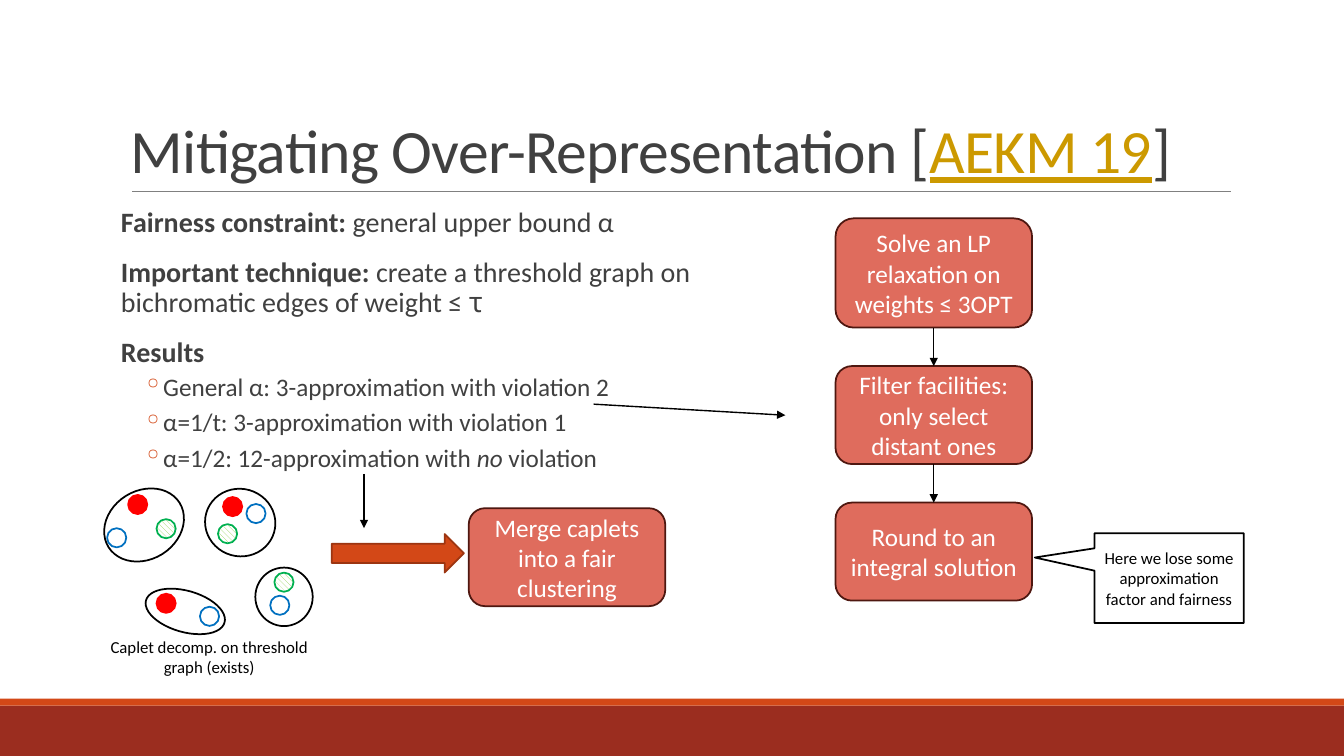
from dataclasses import dataclass

from lxml import etree
from pptx import Presentation
from pptx.dml.color import RGBColor
from pptx.enum import dml, shapes, text
from pptx.oxml import ns
from pptx.util import Pt


@dataclass(frozen=True)
class Theme:
    """Colours, type sizes and line widths of the slide."""
    font: str = "Calibri"
    title_size: float = 44
    body_size: float = 20
    step_size: float = 18
    note_size: float = 12
    outline: float = 1.25
    ink: str = "404040"
    black: str = "000000"
    white: str = "FFFFFF"
    link: str = "CC9900"
    rule: str = "808080"
    accent: str = "D34817"
    accent_edge: str = "9C3511"
    footer: str = "9B2D1F"
    step: str = "DF6C5D"
    step_edge: str = "4E1710"
    red: str = "FF0000"
    blue: str = "0070C0"
    green: str = "00B050"
    hatch: str = "92D050"


THEME = Theme()
SHAPE = shapes.MSO_SHAPE


def colour(value):
    """Turn a hex string into a colour."""
    return RGBColor.from_string(value)


def add_node(parent, tag, **attributes):
    """Append a drawing element to a parent element."""
    return etree.SubElement(parent, ns.qn(tag), attributes)


def add_box(page, kind, box, fill=None, edge=None):
    """Draw a preset shape with an optional fill and outline."""
    shape = page.shapes.add_shape(kind, *map(Pt, box))
    shape.shadow.inherit = False
    if fill:
        shape.fill.solid()
        shape.fill.fore_color.rgb = colour(fill)
    else:
        shape.fill.background()
    if edge:
        shape.line.color.rgb = colour(edge)
        shape.line.width = Pt(THEME.outline)
    else:
        shape.line.fill.background()
    return shape


def set_font(font, size, shade):
    """Set the typeface, size and colour of a font."""
    font.name, font.size = THEME.font, Pt(size)
    font.color.rgb = colour(shade)


def write_centred(shape, wording, size, shade):
    """Write one centred paragraph into a shape."""
    frame = shape.text_frame
    frame.word_wrap = True
    para = frame.paragraphs[0]
    para.text = wording
    para.alignment = text.PP_ALIGN.CENTER
    set_font(para.font, size, shade)


def add_line(page, start, end, shade=THEME.black, width=1, arrow=True):
    """Draw a straight line, with an arrowhead at its end if wanted."""
    line = page.shapes.add_connector(shapes.MSO_CONNECTOR.STRAIGHT, *map(Pt, start + end))
    line.line.color.rgb = colour(shade)
    line.line.width = Pt(width)
    if arrow:
        add_node(line.line._get_or_add_ln(), "a:tailEnd", type="triangle")
    add_node(line._element.spPr, "a:effectLst")
    return line


def add_step(page, box, wording):
    """Draw one rounded step of the algorithm."""
    step = add_box(page, SHAPE.ROUNDED_RECTANGLE, box, THEME.step, THEME.step_edge)
    write_centred(step, wording, THEME.step_size, THEME.white)
    return step


def add_footer(page, box):
    """Draw the two-tone band at the foot of the slide."""
    left, top, width, height = box
    strip = 5
    add_box(page, SHAPE.RECTANGLE, (left, top + strip, width, height - strip), THEME.footer)
    add_box(page, SHAPE.RECTANGLE, (left, top, width, strip), THEME.accent)


def add_title(page, box):
    """Write the title and the rule beneath it."""
    left, top, width, height = box
    base = top + height
    add_line(page, (left + 8, base), (left + width + 1, base), THEME.rule, 0.5, False)
    frame = page.shapes.add_textbox(*map(Pt, box)).text_frame
    frame.word_wrap = True
    frame.vertical_anchor = text.MSO_ANCHOR.BOTTOM
    para = frame.paragraphs[0]
    para.line_spacing = 0.85
    for wording, linked in (("Mitigating Over-Representation [", False), ("AEKM 19", True), ("]", False)):
        span = para.add_run()
        span.text = wording
        set_font(span.font, THEME.title_size, THEME.link if linked else THEME.ink)
        span.font.underline = linked
        span._r.get_or_add_rPr().set("spc", "-50")


def add_body(page, box):
    """Write the constraint, the technique and the list of results."""
    frame = page.shapes.add_textbox(*map(Pt, box)).text_frame
    frame.word_wrap = True
    frame.margin_left = frame.margin_right = 0
    statements = (
        (("Fairness constraint:", "b"), (" general upper bound α", "")),
        (("Important technique:", "b"),
         (" create a threshold graph on bichromatic edges of weight ≤ ꚍ", "")),
        (("Results", "b"),),
    )
    results = (
        (("General α: 3-approximation with violation 2", ""),),
        (("α=1/t: 3-approximation with violation 1", ""),),
        (("α=1/2: 12-approximation with ", ""), ("no", "i"), (" violation", "")),
    )
    for index, spans in enumerate(statements + results):
        para = frame.add_paragraph() if index else frame.paragraphs[0]
        is_result = index >= len(statements)
        para.line_spacing = 0.9
        para.space_before, para.space_after = (Pt(2), Pt(4)) if is_result else (Pt(12), Pt(2))
        set_font(para.font, THEME.step_size if is_result else THEME.body_size, THEME.ink)
        if is_result:
            para.level = 1
            properties = para._p.get_or_add_pPr()
            properties.set("marL", str(Pt(30.2)))
            properties.set("indent", str(Pt(-14.4)))
            bullet = etree.Element(ns.qn("a:buClr"))
            add_node(bullet, "a:srgbClr", val=THEME.accent)
            mark = etree.Element(ns.qn("a:buChar"), char="◦")
            place = properties.index(properties.find(ns.qn("a:defRPr")))
            properties[place:place] = [bullet, mark]
        for wording, style in spans:
            span = para.add_run()
            span.text = wording
            span.font.bold = style == "b"
            span.font.italic = style == "i"


def add_pipeline(page, box):
    """Stack the three rounding steps, join them and annotate the last."""
    left, top, width, gap = box
    steps = []
    for wording, height in (("Solve an LP relaxation on weights ≤ 3OPT", 78),
                            ("Filter facilities: only select distant ones", 70),
                            ("Round to an integral solution", 70)):
        steps.append(add_step(page, (left, top, width, height), wording))
        top += height + gap
    for upper, lower in zip(steps, steps[1:]):
        arrow = add_line(page, (left, top), (left, top))
        arrow.begin_connect(upper, 2)
        arrow.end_connect(lower, 0)
    note = add_box(page, SHAPE.RECTANGULAR_CALLOUT, (left + 185, top - 75.5, 106.6, 64),
                   THEME.white, THEME.black)
    note.adjustments[0], note.adjustments[1] = -0.9, -0.23
    write_centred(note, "Here we lose some approximation factor and fairness",
                  THEME.note_size, THEME.black)


def add_point(page, left, top, kind):
    """Draw one coloured point of a caplet."""
    fill = THEME.red if kind == "red" else None
    point = add_box(page, SHAPE.OVAL, (left, top, 13.7, 13.7), fill, getattr(THEME, kind))
    if kind == "green":
        point.fill.patterned()
        point.fill.pattern = dml.MSO_PATTERN.WIDE_DOWNWARD_DIAGONAL
        point.fill.fore_color.rgb = colour(THEME.hatch)
        point.fill.back_color.rgb = colour(THEME.white)


def add_caplets(page, box):
    """Draw the caplets with their points, and the caption below."""
    left, top, width, height = box
    caplets = (
        ((3, 1.5, 59.8, 49), 328.1, {"red": (21.5, 4.5), "blue": (6.5, 28.3), "green": (41.8, 21.8)}),
        ((76.4, 0.2, 50.4, 48.2), 15.8, {"red": (89.3, 6), "blue": (106, 11), "green": (85.7, 25.4)}),
        ((33.2, 73, 58.3, 29.5), 15.8, {"red": (41.8, 75.1), "blue": (72.8, 84.4)}),
        ((112.4, 56.4, 41, 41.8), 0, {"green": (126, 60), "blue": (123, 76.5)}),
    )
    for (x, y, *size), angle, points in caplets:
        for kind, (across, down) in points.items():
            add_point(page, left + across, top + down, kind)
        caplet = add_box(page, SHAPE.OVAL, (left + x, top + y, *size), None, THEME.black)
        caplet.rotation = angle
    caption = page.shapes.add_textbox(*map(Pt, (left, top + height - 36, width, 36)))
    write_centred(caption, "Caplet decomp. on threshold graph (exists)", THEME.note_size, THEME.black)


def add_merge(page, box):
    """Draw the block arrow that leads to the merging step."""
    left, top, width, height = box
    add_box(page, SHAPE.RIGHT_ARROW, (left, top + 18.5, 94.4, 27.5), THEME.accent, THEME.accent_edge)
    add_step(page, (left + width - 140.4, top, 140.4, height), "Merge caplets into a fair clustering")


def main():
    """Build the slide and save it."""
    deck = Presentation()
    deck.slide_width, deck.slide_height = Pt(960), Pt(540)
    page = deck.slides.add_slide(deck.slide_layouts[6])
    add_footer(page, (0, 499, 960, 41))
    add_title(page, (86.4, 22.3, 792, 114.5))
    add_body(page, (86.4, 145.4, 439, 323))
    add_pipeline(page, (596.8, 156, 140.4, 27.5))
    add_caplets(page, (70, 349, 159, 138))
    add_merge(page, (237, 363, 238.2, 70))
    add_line(page, (260, 338.5), (260, 377.3))
    add_line(page, (424, 288.7), (561, 296.6))
    deck.save("out.pptx")


if __name__ == "__main__":
    main()
